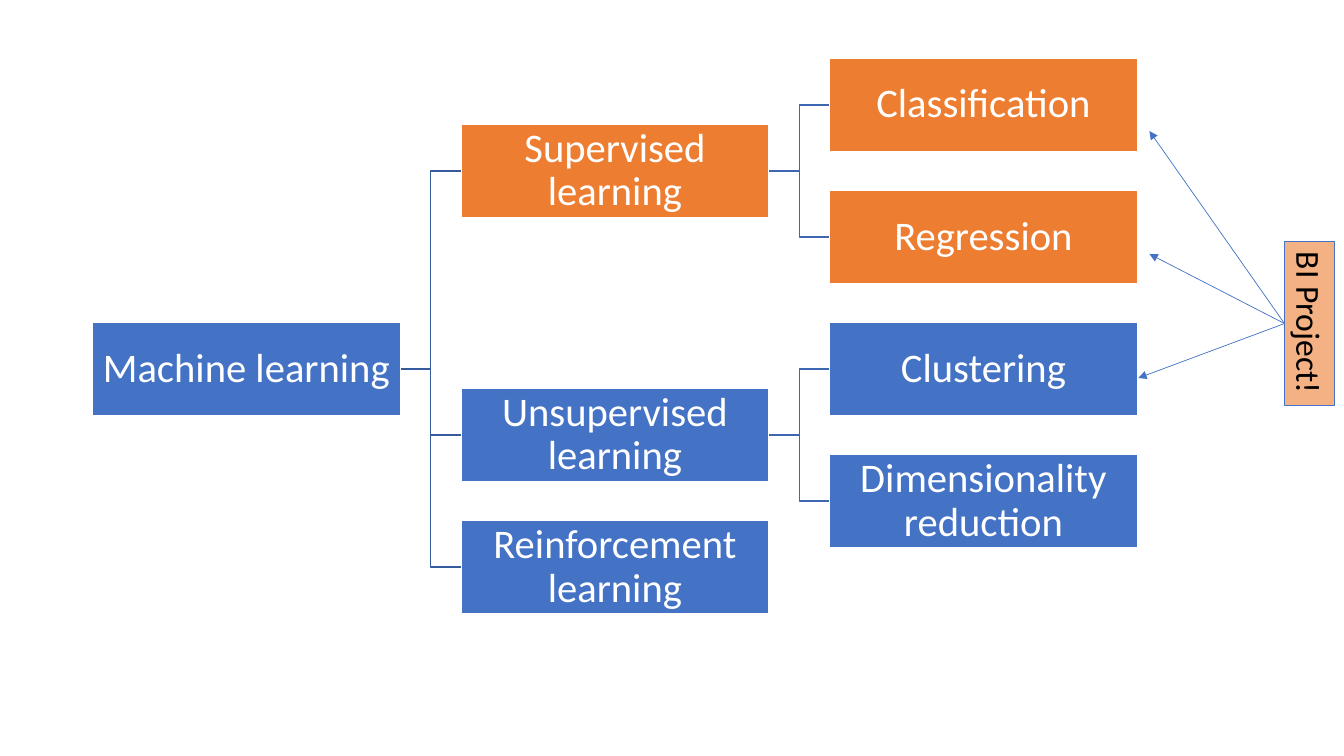
"""Draw a tree of machine learning fields with the project's links to it."""
import dataclasses

import lxml.etree
import pptx
import pptx.dml.color
import pptx.enum.shapes
import pptx.enum.text
import pptx.oxml.ns
import pptx.util

Inches = pptx.util.Inches
Pt = pptx.util.Pt
ALIGN = pptx.enum.text.PP_ALIGN
ANCHOR = pptx.enum.text.MSO_ANCHOR
AUTO_SIZE = pptx.enum.text.MSO_AUTO_SIZE

BLUE, ORANGE, PEACH = "4472C4", "ED7D31", "F4B183"
WHITE, BLACK = "FFFFFF", "000000"


def color(hex_string):
    """Turn a hex string into a colour."""
    return pptx.dml.color.RGBColor.from_string(hex_string)


def apply(target, formats):
    """Set every attribute named in formats on target."""
    for attribute, value in formats.items():
        setattr(target, attribute, value)


@dataclasses.dataclass
class Diagram:
    """Hold the style and the current slide."""
    slide: object
    font: str = "Calibri"
    left: float = 0.92
    column_step: float = 3.655
    first_center: float = 1.04
    row_step: float = 0.655
    width: float = 3.05
    height: float = 0.93

    def place(self, column, row):
        """Return the left edge and the vertical centre of a tree position."""
        return self.left + column * self.column_step, self.first_center + row * self.row_step

    def outline(self, line, hex_string, points):
        """Give a line its colour and width."""
        line.color.rgb = color(hex_string)
        line.width = Pt(points)

    def box(self, text, bounds, fill, border, size, ink, frame_format, paragraph_format):
        """Add a rectangle with text and return it."""
        rectangle = self.slide.shapes.add_shape(
            pptx.enum.shapes.MSO_SHAPE.RECTANGLE, *map(Inches, bounds))
        rectangle.shadow.inherit = False
        rectangle.fill.solid()
        rectangle.fill.fore_color.rgb = color(fill)
        self.outline(rectangle.line, *border)
        frame = rectangle.text_frame
        frame.text = text
        apply(frame, frame_format)
        paragraph = frame.paragraphs[0]
        apply(paragraph, paragraph_format)
        font = paragraph.runs[0].font
        apply(font, {"name": self.font, "size": Pt(size)})
        font.color.rgb = color(ink)
        return rectangle

    def field(self, text, column, row, fill):
        """Add one box of the tree."""
        left, center = self.place(column, row)
        margins = {f"margin_{side}": Inches(0.02) for side in ("left", "right", "top", "bottom")}
        self.box(text, (left, center - self.height / 2, self.width, self.height),
                 fill, (WHITE, 1), 29, WHITE,
                 {"word_wrap": True, "vertical_anchor": ANCHOR.MIDDLE, **margins},
                 {"alignment": ALIGN.CENTER, "line_spacing": 0.9})

    def branch(self, column, parent_row, child_row, hex_string):
        """Add the elbow from a parent to a child in the next column."""
        parent_left, start_y = self.place(column, parent_row)
        end_x, end_y = self.place(column + 1, child_row)
        start_x = parent_left + self.width
        middle = (start_x + end_x) / 2
        builder = self.slide.shapes.build_freeform(Inches(start_x), Inches(start_y))
        corners = [(middle, start_y), (middle, end_y), (end_x, end_y)]
        builder.add_line_segments([(Inches(x), Inches(y)) for x, y in corners], close=False)
        elbow = builder.convert_to_shape()
        elbow.shadow.inherit = False
        elbow.fill.background()
        self.outline(elbow.line, hex_string, 1)

    def tag(self, text, bounds):
        """Add the sideways label."""
        label = self.box(text, bounds, PEACH, (BLUE, 0.75), 24, BLACK,
                         {"word_wrap": False, "auto_size": AUTO_SIZE.SHAPE_TO_FIT_TEXT,
                          "vertical_anchor": ANCHOR.TOP},
                         {"alignment": ALIGN.LEFT})
        label.rotation = 90

    def arrow(self, start, end):
        """Add a thin arrow."""
        link = self.slide.shapes.add_connector(
            pptx.enum.shapes.MSO_CONNECTOR.STRAIGHT, *map(Inches, (*start, *end)))
        self.outline(link.line, BLUE, 0.5)
        qn = pptx.oxml.ns.qn
        properties = link._element.spPr
        lxml.etree.SubElement(properties.find(qn("a:ln")), qn("a:tailEnd"), type="triangle")
        lxml.etree.SubElement(properties, qn("a:effectLst"))


FIELDS = [
    ("Machine learning", 0, 4, BLUE),
    ("Supervised learning", 1, 1, ORANGE),
    ("Classification", 2, 0, ORANGE),
    ("Regression", 2, 2, ORANGE),
    ("Unsupervised learning", 1, 5, BLUE),
    ("Clustering", 2, 4, BLUE),
    ("Dimensionality reduction", 2, 6, BLUE),
    ("Reinforcement learning", 1, 7, BLUE),
]
BRANCHES = [
    (0, 4, (7, 5, 1), "365B9D"),
    (1, 5, (6, 4), "3E67B2"),
    (1, 1, (2, 0), "3E67B2"),
]
PROJECT_EDGE = (12.74, 3.21)
PROJECT_TARGETS = [(11.29, 3.75), (11.4, 1.3), (11.4, 2.52)]

presentation = pptx.Presentation()
apply(presentation, {"slide_width": Inches(13.33), "slide_height": Inches(7.5)})
diagram = Diagram(presentation.slides.add_slide(presentation.slide_layouts[6]))

for column, parent_row, child_rows, hex_string in BRANCHES:
    for child_row in child_rows:
        diagram.branch(column, parent_row, child_row, hex_string)
for field in FIELDS:
    diagram.field(*field)
diagram.tag("BI Project!", (12.18, 2.96, 1.62, 0.5))
for target in PROJECT_TARGETS:
    diagram.arrow(PROJECT_EDGE, target)

presentation.save("out.pptx")
